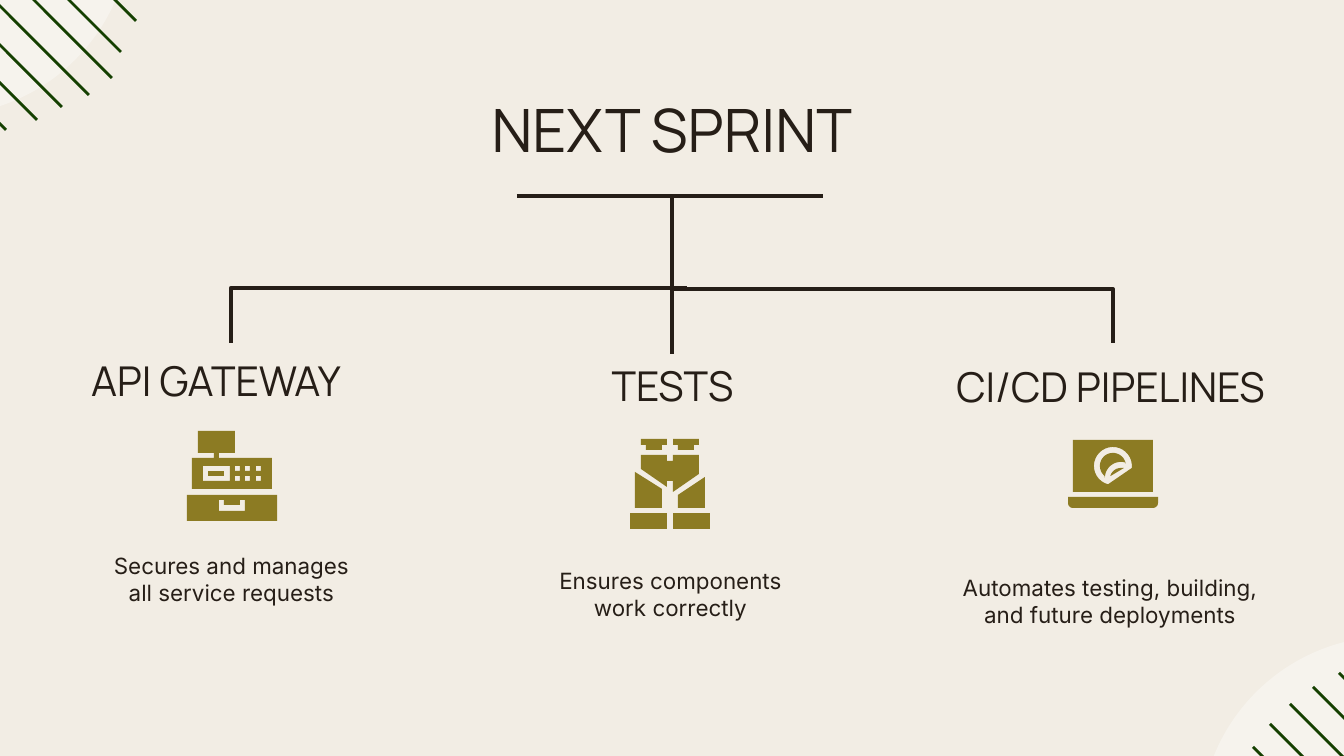
import math

import pptx
import pptx.dml.color
import pptx.enum.shapes
import pptx.enum.text
import pptx.oxml.ns
import pptx.util
from lxml import etree

INK = pptx.dml.color.RGBColor(0x26, 0x1E, 0x17)
GREEN = pptx.dml.color.RGBColor(0x15, 0x40, 0x01)
OLIVE = pptx.dml.color.RGBColor(0x8C, 0x7B, 0x23)
CREAM = pptx.dml.color.RGBColor(0xF2, 0xED, 0xE4)
WHITE = pptx.dml.color.RGBColor(0xFF, 0xFF, 0xFF)
HEADING_FONT = "Manrope"
BODY_FONT = "Inter"
SCALE = 9144000 / 1344
STRAIGHT = pptx.enum.shapes.MSO_CONNECTOR.STRAIGHT
ELBOW = pptx.enum.shapes.MSO_CONNECTOR.ELBOW

TOP_STRIPES = [(-223, -99, 229), (-212, -129, 249), (-199, -154, 261), (-183, -177, 272),
               (-163, -197, 275), (-140, -209, 261), (-114, -229, 250)]
BOTTOM_STRIPES = [(1253, 747, 262), (1270, 724, 272), (1290, 704, 258),
                  (1313, 687, 263), (1339, 673, 250)]


def px(length):
    return pptx.util.Emu(round(length * SCALE))


def rect(left, top, right, bottom):
    return [(left, top), (right, top), (right, bottom), (left, bottom)]


def arc(x, y, radius, start, end, steps=24):
    angles = [math.radians(start + (end - start) * i / steps) for i in range(steps + 1)]
    return [(x + radius * math.cos(a), y + radius * math.sin(a)) for a in angles]


def register_icon():
    keys = [rect(x, y, x + 5, y + 5) for y in (466, 476) for x in (235, 245, 256)]
    body = [(198, 431), (198, 453), (214, 453), (214, 458), (192, 458), (192, 489),
            (272, 489), (272, 458), (219, 458), (219, 453), (235, 453), (235, 431)]
    handle = [(245, 500), (245, 511), (219, 511), (219, 500), (224, 500), (224, 505),
              (240, 505), (240, 500)]
    return [
        [rect(208, 471, 224, 476)],
        [body, rect(203, 466, 230, 481)] + keys,
        [rect(187, 495, 277, 521), handle],
    ]


def binoculars_icon():
    eyepieces = [
        [[(x, 439), (x, 445), (x + 5, 445), (x + 5, 450), (x + 21, 450), (x + 21, 445),
          (x + 26, 445), (x + 26, 439)]]
        for x in (641, 673)
    ]
    bridge = [(641, 455), (641, 469), (667, 487), (667, 481), (673, 481), (673, 492),
              (699, 474), (699, 455), (673, 455), (673, 461), (667, 461), (667, 455)]
    return eyepieces + [
        [rect(630, 513, 667, 529)],
        [rect(673, 513, 710, 529)],
        [bridge],
        [[(635, 472), (635, 508), (662, 508), (662, 489)]],
        [[(705, 477), (678, 495), (678, 508), (705, 508)]],
    ]


def laptop_icon():
    base = [(1068, 497), *arc(1073, 503, 5, 180, 90), *arc(1153, 503, 5, 90, 0), (1158, 497)]
    return [
        [base],
        [arc(1113, 466, 13, -10, -230) + arc(1121, 478, 16, 180, 288)],
        [arc(1121, 479, 11, 270, 195) + [(1124, 468)]],
        [rect(1073, 440, 1153, 492), arc(1113, 466, 19, 6, -255)],
    ]


def add_icon(slide, parts):
    icon = slide.shapes.add_group_shape()
    for outlines in parts:
        builder = None
        for outline in outlines:
            (x, y), *rest = [(px(a), px(b)) for a, b in outline]
            if builder is None:
                builder = icon.shapes.build_freeform(x, y)
            else:
                builder.move_to(x, y)
            builder.add_line_segments(rest, close=True)
        piece = builder.convert_to_shape()
        piece.shadow.inherit = False
        piece.fill.solid()
        piece.fill.fore_color.rgb = OLIVE
        piece.line.fill.background()


def add_line(shapes, begin, end, color=INK, width=2.25, kind=STRAIGHT):
    line = shapes.add_connector(kind, *map(px, begin + end))
    line.line.color.rgb = color
    line.line.width = pptx.util.Pt(width)
    etree.SubElement(line._element.spPr, pptx.oxml.ns.qn("a:effectLst"))
    return line


def add_upright_elbow(slide, begin, end, preset):
    middle_x, middle_y = (begin[0] + end[0]) / 2, (begin[1] + end[1]) / 2
    turned = [(middle_x + y - middle_y, middle_y - x + middle_x) for x, y in (begin, end)]
    elbow = add_line(slide.shapes, *turned, kind=ELBOW)
    properties = elbow._element.spPr
    properties.find(pptx.oxml.ns.qn("a:xfrm")).set("rot", "5400000")
    properties.find(pptx.oxml.ns.qn("a:prstGeom")).set("prst", preset)


def add_corner(slide, left, top, stripes):
    corner = slide.shapes.add_group_shape()
    disc = corner.shapes.add_shape(
        pptx.enum.shapes.MSO_SHAPE.OVAL, px(left), px(top), px(384), px(382))
    disc.shadow.inherit = False
    disc.fill.solid()
    disc.fill.fore_color.rgb = WHITE
    white = disc._element.spPr.find(".//" + pptx.oxml.ns.qn("a:srgbClr"))
    etree.SubElement(white, pptx.oxml.ns.qn("a:alpha"), val="36000")
    disc.line.fill.background()
    for x, y, run in stripes:
        add_line(corner.shapes, (x, y), (x + run, y + run), GREEN, 1.5)


def write_text(holder, text, size, font):
    frame = holder.text_frame
    frame.word_wrap = True
    frame.auto_size = pptx.enum.text.MSO_AUTO_SIZE.NONE
    frame.margin_left = frame.margin_right = px(13)
    frame.margin_top = frame.margin_bottom = px(13)
    frame.text = text
    paragraph = frame.paragraphs[0]
    paragraph.alignment = pptx.enum.text.PP_ALIGN.CENTER
    paragraph.font.size = pptx.util.Pt(size)
    paragraph.font.name = font
    paragraph.font.color.rgb = INK


def add_title(slide, text, box):
    title = slide.shapes.title
    title.left, title.top, title.width, title.height = map(px, box)
    write_text(title, text, 32, HEADING_FONT)
    title.text_frame.vertical_anchor = pptx.enum.text.MSO_ANCHOR.MIDDLE


def add_text(slide, text, box, size, font):
    write_text(slide.shapes.add_textbox(*map(px, box)), text, size, font)


def main():
    deck = pptx.Presentation()
    deck.slide_width, deck.slide_height = px(1344), px(756)
    slide = deck.slides.add_slide(deck.slide_layouts[5])
    slide.background.fill.solid()
    slide.background.fill.fore_color.rgb = CREAM

    add_corner(slide, 1200, 636, BOTTOM_STRIPES)
    add_corner(slide, -253, -266, TOP_STRIPES)
    add_title(slide, "NEXT SPRINT", (105, 77, 1134, 103))

    add_line(slide.shapes, (517, 196), (823, 196))
    add_upright_elbow(slide, (231, 343), (687, 288), "bentConnector2")
    add_upright_elbow(slide, (1113, 343), (672, 235), "bentConnector3")
    add_line(slide.shapes, (672, 354), (672, 195))

    branches = [
        ("API GATEWAY", (65, 343, 302, 82), register_icon(),
         "Secures and manages all service requests", (95, 539, 273, 110)),
        ("TESTS", (536, 347, 273, 82), binoculars_icon(),
         "Ensures components work correctly", (534, 554, 273, 82)),
        ("CI/CD PIPELINES", (931, 348, 359, 82), laptop_icon(),
         "Automates testing, building, and future deployments", (942, 561, 336, 99)),
    ]
    for heading, heading_box, icon, summary, summary_box in branches:
        add_text(slide, heading, heading_box, 22, HEADING_FONT)
        add_icon(slide, icon)
        add_text(slide, summary, summary_box, 12, BODY_FONT)

    deck.save("out.pptx")


if __name__ == "__main__":
    main()
